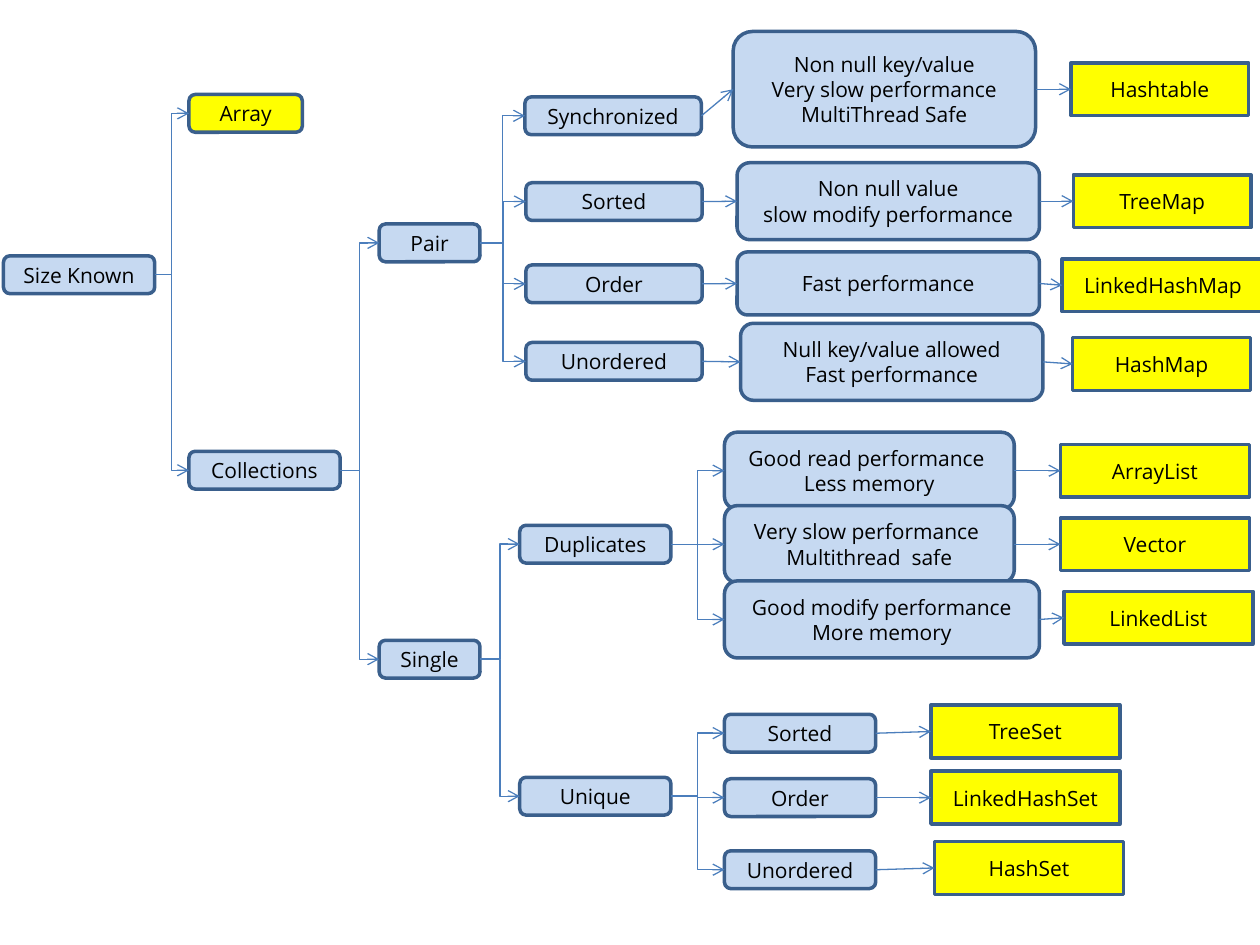
"""Draw a decision tree for choosing a Java collection."""
import pptx
import pptx.util
import pptx.dml.color
import pptx.enum.shapes
import pptx.enum.text
from lxml import etree

Pt = pptx.util.Pt
SHAPES = pptx.enum.shapes.MSO_SHAPE
CONNECTORS = pptx.enum.shapes.MSO_CONNECTOR
LEFT_SITE, RIGHT_SITE = 1, 3

BLUE, YELLOW, BORDER, ARROW = "C6D9F1", "FFFF00", "3A5F8C", "4B7EBC"
STYLES = {
    "question": (SHAPES.ROUNDED_RECTANGLE, BLUE, 21.6),
    "answer": (SHAPES.ROUNDED_RECTANGLE, YELLOW, 21.6),
    "traits": (SHAPES.ROUNDED_RECTANGLE, BLUE, 36),
    "class": (SHAPES.RECTANGLE, YELLOW, 30.2),
}
TRAIT_LINE = 22

# Each node: text, style, left, middle, width, children
MAPS = [
    ("Synchronized", "question", 300, 66.2, 100.8, [
        ("Non null key/value\nVery slow performance\nMultiThread Safe", "traits", 419, 51, 172.8, [
            ("Hashtable", "class", 612, 51, 101.5, [])])]),
    ("Sorted", "question", 300.5, 115.2, 100.8, [
        ("Non null value\nslow modify performance", "traits", 421.2, 115, 172.8, [
            ("TreeMap", "class", 613.4, 115, 101.5, [])])]),
    ("Order", "question", 300.5, 162.2, 100.8, [
        ("Fast performance", "traits", 421.2, 162, 172.8, [
            ("LinkedHashMap", "class", 607, 163, 115.2, [])])]),
    ("Unordered", "question", 300.5, 206.5, 100.8, [
        ("Null key/value allowed\nFast performance", "traits", 423.2, 206.8, 172.8, [
            ("HashMap", "class", 613, 208, 101.5, [])])]),
]
LISTS = [
    ("Good read performance \nLess memory", "traits", 414, 269, 165.6, [
        ("ArrayList", "class", 606, 269, 108, [])]),
    ("Very slow performance \nMultithread  safe", "traits", 414, 311, 165.6, [
        ("Vector", "class", 606, 311, 108, [])]),
    ("Good modify performance\nMore memory", "traits", 414, 354, 180, [
        ("LinkedList", "class", 608, 353, 108, [])]),
]
SETS = [
    ("Sorted", "question", 414, 419, 86.4, [
        ("TreeSet", "class", 532, 418, 108, [])]),
    ("Order", "question", 414, 455.8, 86.4, [
        ("LinkedHashSet", "class", 532, 455.8, 108, [])]),
    ("Unordered", "question", 414, 497, 86.4, [
        ("HashSet", "class", 534, 496, 108, [])]),
]
DECISION_TREE = ("Size Known", "question", 2, 157, 86.4, [
    ("Array", "answer", 108, 64.8, 64.8, []),
    ("Collections", "question", 108, 268.7, 86.4, [
        ("Pair", "question", 216.7, 138.8, 57.6, MAPS),
        ("Single", "question", 216.7, 376.7, 57.6, [
            ("Duplicates", "question", 297, 311, 86.4, LISTS),
            ("Unique", "question", 297, 455, 86.4, SETS)])])])


def color(value):
    """Turn a hex string into a colour."""
    return pptx.dml.color.RGBColor.from_string(value)


def write(shape, text, size=12, font="Open Sans", ink="000000"):
    """Fill a shape with centred lines of text."""
    frame = shape.text_frame
    frame.word_wrap = True
    frame.vertical_anchor = pptx.enum.text.MSO_ANCHOR.MIDDLE
    frame.text = text
    for paragraph in frame.paragraphs:
        paragraph.alignment = pptx.enum.text.PP_ALIGN.CENTER
        paragraph.font.size = Pt(size)
        paragraph.font.name = font
        paragraph.font.color.rgb = color(ink)


def connect(slide, parent, child, kind):
    """Draw an arrow from the parent's right side to the child's left side."""
    arrow = slide.shapes.add_connector(kind, 0, 0, 0, 0)
    arrow.begin_connect(parent, RIGHT_SITE)
    arrow.end_connect(child, LEFT_SITE)
    arrow.line.color.rgb = color(ARROW)
    arrow.line.width = Pt(0.75)
    namespace = pptx.oxml.ns.qn
    line = arrow.line._get_or_add_ln()
    etree.SubElement(line, namespace("a:tailEnd"), type="arrow")
    etree.SubElement(arrow._element.spPr, namespace("a:effectLst"))


def draw(slide, node):
    """Draw a node with all its branches and return its box."""
    text, style, left, middle, width, children = node
    outline, fill, height = STYLES[style]
    if style == "traits":
        height = max(height, TRAIT_LINE * len(text.split("\n")))
    box = slide.shapes.add_shape(outline, Pt(left), Pt(middle - height / 2), Pt(width), Pt(height))
    box.shadow.inherit = False
    box.fill.solid()
    box.fill.fore_color.rgb = color(fill)
    box.line.color.rgb = color(BORDER)
    box.line.width = Pt(2)
    write(box, text)
    kind = CONNECTORS.ELBOW if len(children) > 1 else CONNECTORS.STRAIGHT
    for child in children:
        connect(slide, box, draw(slide, child), kind)
    return box


deck = pptx.Presentation()
deck.slide_width, deck.slide_height = Pt(720), Pt(540)
draw(deck.slides.add_slide(deck.slide_layouts[6]), DECISION_TREE)
deck.save("out.pptx")
